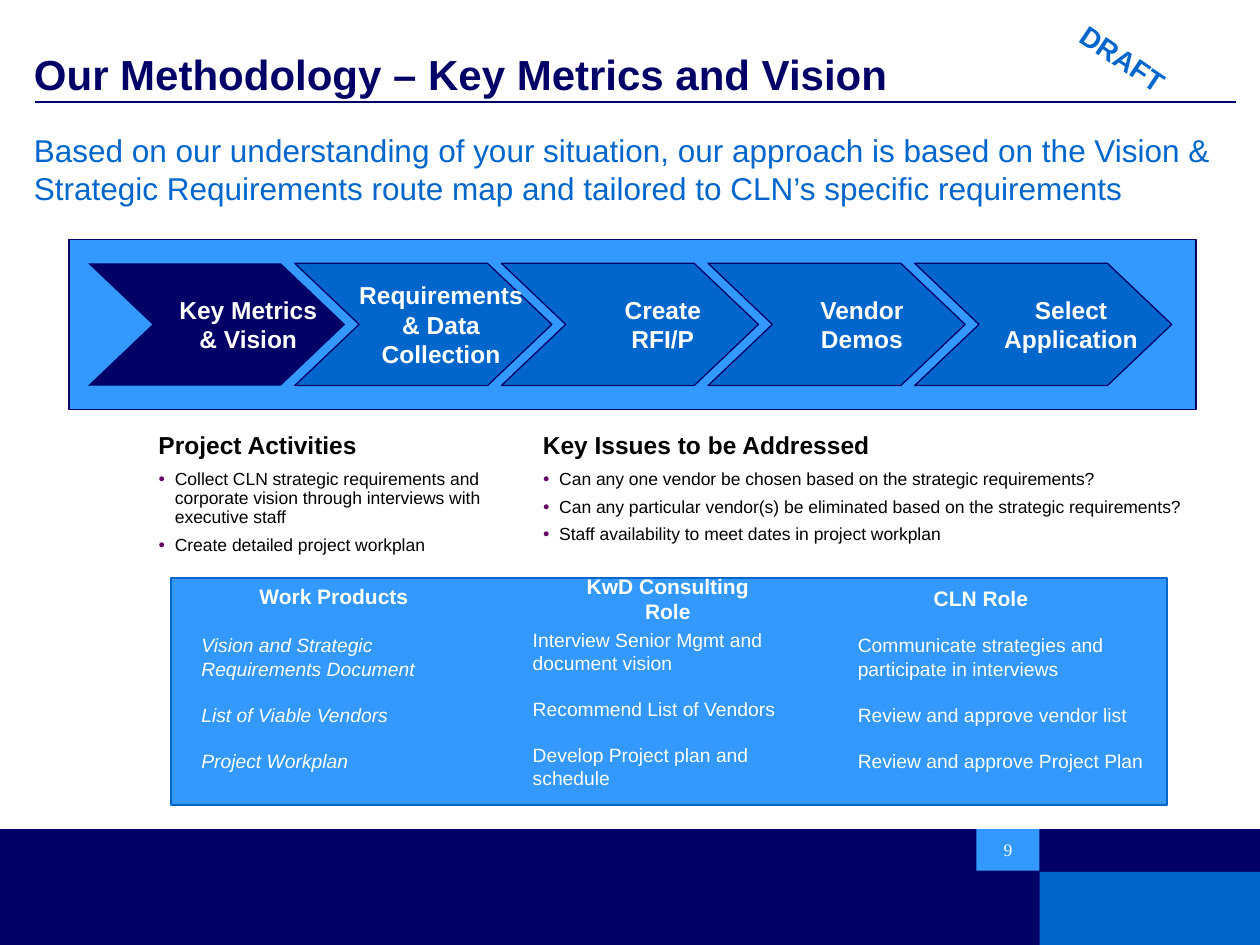
from dataclasses import dataclass

from lxml import etree
from pptx import Presentation
from pptx.dml.color import RGBColor
from pptx.enum.shapes import MSO_CONNECTOR, MSO_SHAPE
from pptx.enum.text import MSO_ANCHOR, PP_ALIGN
from pptx.oxml.ns import qn
from pptx.util import Inches, Pt

RECTANGLE = MSO_SHAPE.RECTANGLE
STRAIGHT = MSO_CONNECTOR.STRAIGHT
TOP, MIDDLE, BOTTOM = MSO_ANCHOR.TOP, MSO_ANCHOR.MIDDLE, MSO_ANCHOR.BOTTOM
LEFT, CENTER = PP_ALIGN.LEFT, PP_ALIGN.CENTER


@dataclass(frozen=True)
class Theme:
    navy: str = "000066"
    blue: str = "0066CC"
    sky: str = "3399FF"
    white: str = "FFFFFF"
    black: str = "000000"
    bullet: str = "660066"
    sans: str = "Arial"
    serif: str = "Times New Roman"
    title: int = 24
    lead: int = 18
    draft: int = 16
    heading: int = 14
    column: int = 12
    role: int = 11
    detail: int = 10


THEME = Theme()

STAGES = [
    (["Key Metrics", "& Vision"], 0.25),
    (["Requirements", "& Data", "Collection"], 0.14),
    (["Create", "RFI/P"], 0.26),
    (["Vendor", "Demos"], 0.2),
    (["Select", "Application"], 0.22),
]
ACTIVITIES = [
    "Collect CLN strategic requirements and corporate vision through interviews with executive staff",
    "Create detailed project workplan",
]
ISSUES = [
    "Can any one vendor be chosen based on the strategic requirements?",
    "Can any particular vendor(s) be eliminated based on the strategic requirements?",
    "Staff availability to meet dates in project workplan",
]
ROLES = [
    ("Work Products", (0.6, -0.01, 1.38, 0.3), (0.14, 0.39, 2.47, 1.2), True,
     ["Vision and Strategic Requirements Document", "List of Viable Vendors", "Project Workplan"]),
    ("KwD Consulting Role", (3, 0.01, 1.88, 0.3), (2.77, 0.34, 2.47, 1.39), False,
     ["Interview Senior Mgmt and document vision", "Recommend List of Vendors",
      "Develop Project plan and schedule"]),
    ("CLN Role", (5.93, 0.01, 0.99, 0.3), (5.35, 0.39, 2.47, 1.2), False,
     ["Communicate strategies and participate in interviews", "Review and approve vendor list",
      "Review and approve Project Plan"]),
]


def rgb(color):
    return RGBColor.from_string(color)


def paint(shape, fill, line=None, width=1):
    shape.shadow.inherit = False
    shape.fill.solid()
    shape.fill.fore_color.rgb = rgb(fill)
    if line:
        shape.line.color.rgb = rgb(line)
        shape.line.width = Pt(width)
    else:
        shape.line.fill.background()


def add_panel(slide, box, fill, line=None):
    panel = slide.shapes.add_shape(RECTANGLE, *map(Inches, box))
    paint(panel, fill, line)


def set_frame(frame, margins=(0, 0, 0, 0), anchor=TOP, wrap=True):
    frame.word_wrap = wrap
    frame.vertical_anchor = anchor
    (frame.margin_left, frame.margin_top,
     frame.margin_right, frame.margin_bottom) = map(Inches, margins)


def write(frame, lines, size, color, align=LEFT, bold=False, italic=False,
          font=THEME.sans, gap=0, spacing=1.0):
    for index, line in enumerate(lines):
        paragraph = frame.paragraphs[0] if index == 0 else frame.add_paragraph()
        paragraph.text = line
        paragraph.alignment = align
        paragraph.line_spacing = spacing
        if index:
            paragraph.space_before = Pt(gap)
        paragraph.font.name = font
        paragraph.font.size = Pt(size)
        paragraph.font.bold = bold
        paragraph.font.italic = italic
        paragraph.font.color.rgb = rgb(color)


def add_text(slide, box, lines, size, color, margins=(0, 0, 0, 0), anchor=TOP,
             wrap=True, **style):
    label = slide.shapes.add_textbox(*map(Inches, box))
    set_frame(label.text_frame, margins, anchor, wrap)
    write(label.text_frame, lines, size, color, **style)
    return label


def add_bullet(paragraph):
    properties = paragraph._p.get_or_add_pPr()
    properties.set("marL", str(Inches(0.13)))
    properties.set("indent", str(-Inches(0.13)))
    color = etree.SubElement(properties, qn("a:buClr"))
    etree.SubElement(color, qn("a:srgbClr"), val=THEME.bullet)
    etree.SubElement(properties, qn("a:buSzPct"), val="65000")
    etree.SubElement(properties, qn("a:buFont"), typeface=THEME.sans)
    etree.SubElement(properties, qn("a:buChar"), char="●")


def add_header(slide, box):
    left, top, width, height = box
    add_text(slide, (left, top, width, 0.79), ["Our Methodology – Key Metrics and Vision"],
             THEME.title, THEME.navy, anchor=BOTTOM, bold=True, spacing=0.9)
    rule = slide.shapes.add_connector(
        STRAIGHT, *map(Inches, (left + 0.01, top + 0.81, left + 9.54, top + 0.81)))
    rule.line.color.rgb = rgb(THEME.navy)
    rule.line.width = Pt(1.5)
    etree.SubElement(rule._element.spPr, qn("a:effectLst"))
    stamp = add_text(slide, (left + 7.86, top + 0.33, 1.56, 0.27), ["DRAFT"],
                     THEME.draft, THEME.blue, align=CENTER, bold=True)
    stamp.rotation = 33.8
    add_text(slide, (left, top + 1.04, width, height - 1.04),
             ["Based on our understanding of your situation, our approach is based on the Vision & "
              "Strategic Requirements route map and tailored to CLN’s specific requirements"],
             THEME.lead, THEME.blue)


def add_stage(slide, box, lines, shift, current):
    left, top, width, height = box
    notch = 0.51
    right, middle, bottom = left + width, top + height / 2, top + height
    outline = [(right - notch, top), (right, middle), (right - notch, bottom),
               (left, bottom), (left + notch, middle)]
    builder = slide.shapes.build_freeform(Inches(left), Inches(top))
    builder.add_line_segments([(Inches(x), Inches(y)) for x, y in outline], close=True)
    chevron = builder.convert_to_shape()
    if current:
        paint(chevron, THEME.navy)
    else:
        paint(chevron, THEME.blue, THEME.navy, 0.75)
    set_frame(chevron.text_frame, (0.1 + 2 * shift, 0.05, 0.1, 0.05), MIDDLE, False)
    write(chevron.text_frame, lines, THEME.heading, THEME.white, CENTER, bold=True)


def add_process(slide, box):
    left, top = box[:2]
    add_panel(slide, box, THEME.sky, THEME.navy)
    for index, (lines, shift) in enumerate(STAGES):
        add_stage(slide, (left + 0.15 + 1.64 * index, top + 0.19, 2.04, 0.97),
                  lines, shift, index == 0)


def add_topic(slide, box, heading, points):
    topic = add_text(slide, box, [heading], THEME.heading, THEME.black,
                     margins=(0.1, 0.05, 0.1, 0.05), bold=True, spacing=0.9)
    frame = topic.text_frame
    frame.paragraphs[0].space_after = Pt(3.5)
    for point in points:
        paragraph = frame.add_paragraph()
        paragraph.text = point
        paragraph.line_spacing = 0.9
        paragraph.space_before = paragraph.space_after = Pt(2.5)
        add_bullet(paragraph)
        paragraph.font.name = THEME.sans
        paragraph.font.size = Pt(THEME.detail)
        paragraph.font.color.rgb = rgb(THEME.black)


def add_roles(slide, box):
    left, top = box[:2]
    add_panel(slide, box, THEME.sky, THEME.blue)
    margins = (0.1, 0.05, 0.1, 0.05)
    for heading, (hx, hy, *head_size), (x, y, *size), italic, duties in ROLES:
        add_text(slide, (left + hx, top + hy, *head_size), [heading], THEME.column,
                 THEME.white, margins, MIDDLE, False, align=CENTER, bold=True)
        add_text(slide, (left + x, top + y, *size), duties, THEME.role,
                 THEME.white, margins, MIDDLE, italic=italic, gap=13.2)


def add_footer(slide, box):
    left, top, width, height = box
    number_box = (left + 7.75, top, 0.5, 0.33)
    add_panel(slide, box, THEME.navy)
    add_panel(slide, (left + 8.25, top + 0.34, width - 8.25, height - 0.34), THEME.blue)
    add_panel(slide, number_box, THEME.sky)
    add_text(slide, number_box, ["9"], THEME.detail, THEME.white, anchor=MIDDLE,
             align=CENTER, font=THEME.serif)


def main():
    deck = Presentation()
    deck.slide_width, deck.slide_height = Inches(10), Inches(7.5)
    slide = deck.slides.add_slide(deck.slide_layouts[6])
    add_footer(slide, (0, 6.58, 10, 0.92))
    add_header(slide, (0.27, 0, 9.56, 1.8))
    add_process(slide, (0.55, 1.9, 8.94, 1.35))
    add_topic(slide, (1.16, 3.39, 3.34, 1.15), "Project Activities", ACTIVITIES)
    add_topic(slide, (4.21, 3.39, 5.39, 1.15), "Key Issues to be Addressed", ISSUES)
    add_roles(slide, (1.36, 4.59, 7.9, 1.8))
    deck.save("out.pptx")


if __name__ == "__main__":
    main()
